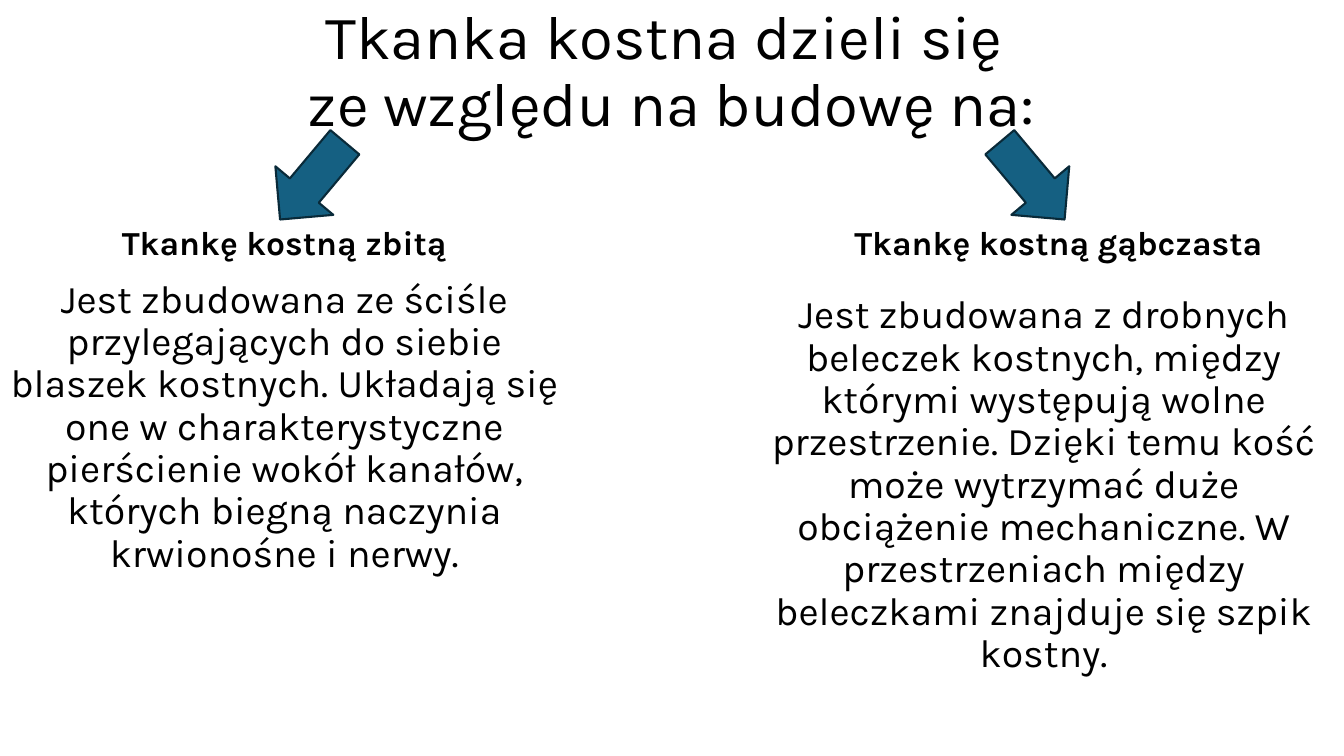
from pptx import Presentation
from pptx import util as u
from pptx.dml.color import RGBColor
from pptx.enum import shapes, text

COLORS = {"text": "000000", "arrow": "156082", "outline": "092A39"}

prs = Presentation()
prs.slide_width, prs.slide_height = u.Pt(960), u.Pt(540)
s = prs.slides.add_slide(prs.slide_layouts[6])

texts = [
    ("Tkanka kostna dzieli się \nze względu na budowę na:",
     (66, 0, 828, 104.4), 44, False, 0),
    ("Tkankę kostną zbitą", (0, 142.6, 406, 64.8), 24, True, 10),
    ("Jest zbudowana ze ściśle przylegających do siebie blaszek kostnych. "
     "Układają się one w charakterystyczne pierścienie wokół kanałów, "
     "których biegną naczynia krwionośne i nerwy.",
     (0, 209.5, 406, 191.5), 28, False, 10),
    ("Tkankę kostną gąbczasta", (552, 142.6, 408, 64.8), 24, True, 10),
    ("Jest zbudowana z drobnych beleczek kostnych, między którymi występują "
     "wolne przestrzenie. Dzięki temu kość może wytrzymać duże obciążenie "
     "mechaniczne. W przestrzeniach między beleczkami znajduje się szpik kostny.",
     (530.8, 207.4, 429.2, 278.6), 28, False, 10),
]
for content, box, size, bold, before in texts:
    tf = s.shapes.add_textbox(*map(u.Pt, box)).text_frame
    tf.word_wrap = True
    tf.vertical_anchor = text.MSO_ANCHOR.MIDDLE
    p = tf.paragraphs[0]
    p.text = content
    p.alignment = text.PP_ALIGN.CENTER
    p.line_spacing = 0.9
    p.space_before = u.Pt(before)
    p.font.name = "Karla"
    p.font.size = u.Pt(size)
    p.font.bold = bold
    p.font.color.rgb = RGBColor.from_string(COLORS["text"])

for left, rotation in [(187.2, 310), (701.3, 230)]:
    sp = s.shapes.add_shape(shapes.MSO_SHAPE.LEFT_ARROW,
                            u.Pt(left), u.Pt(102.2), u.Pt(72), u.Pt(54))
    sp.rotation = rotation
    sp.shadow.inherit = False
    sp.fill.solid()
    sp.fill.fore_color.rgb = RGBColor.from_string(COLORS["arrow"])
    sp.line.color.rgb = RGBColor.from_string(COLORS["outline"])
    sp.line.width = u.Pt(1.5)

prs.save("out.pptx")
